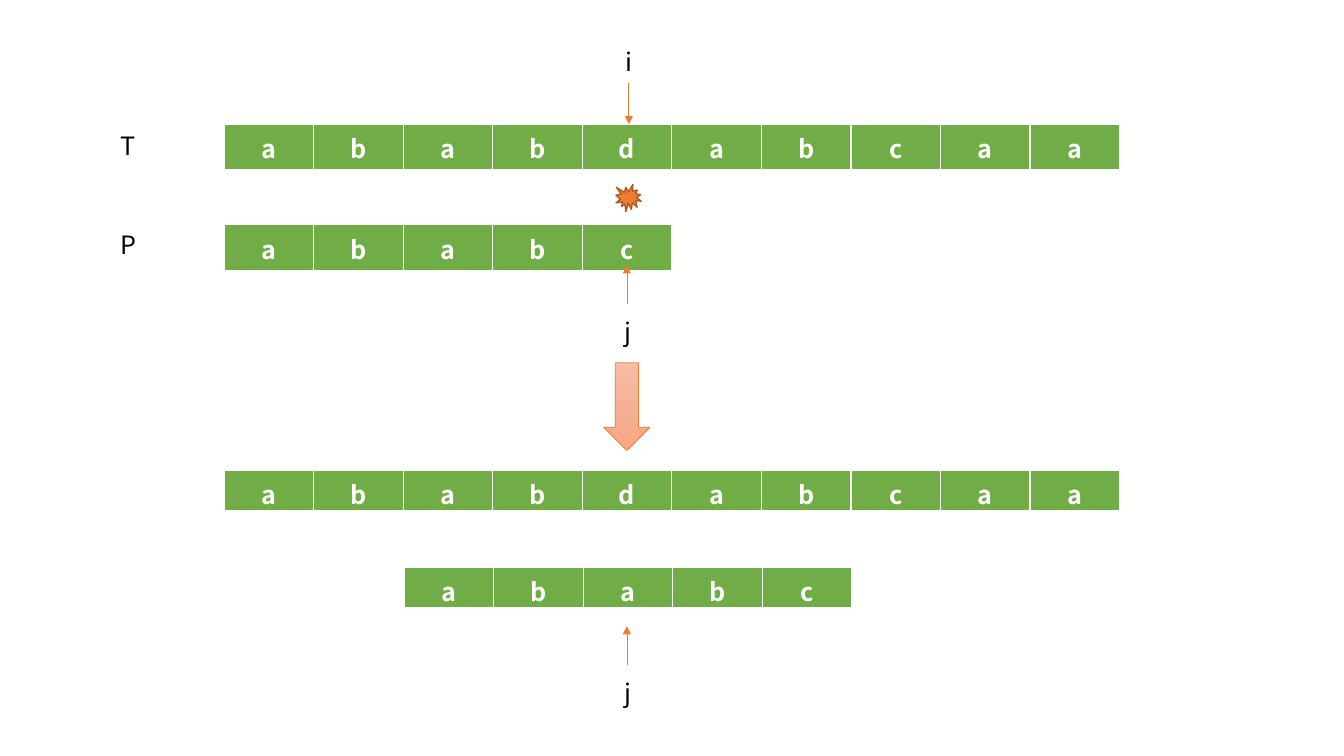
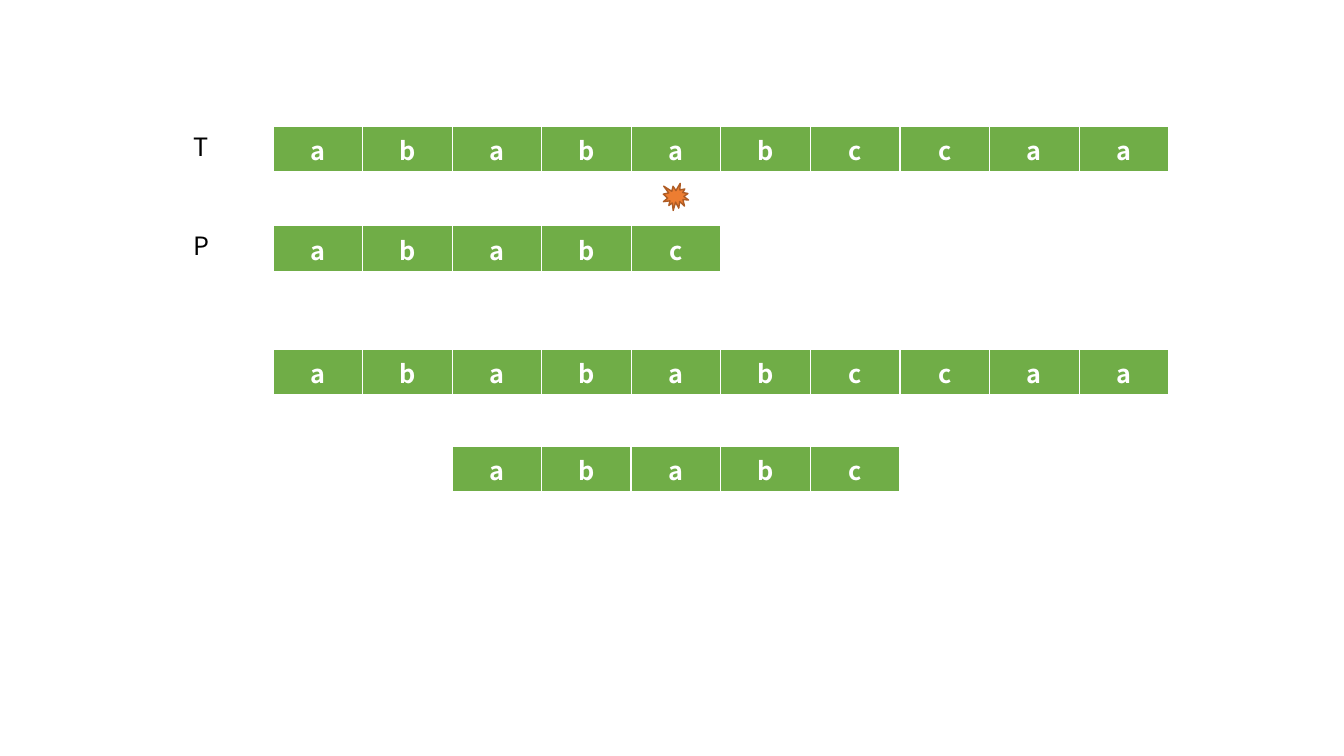
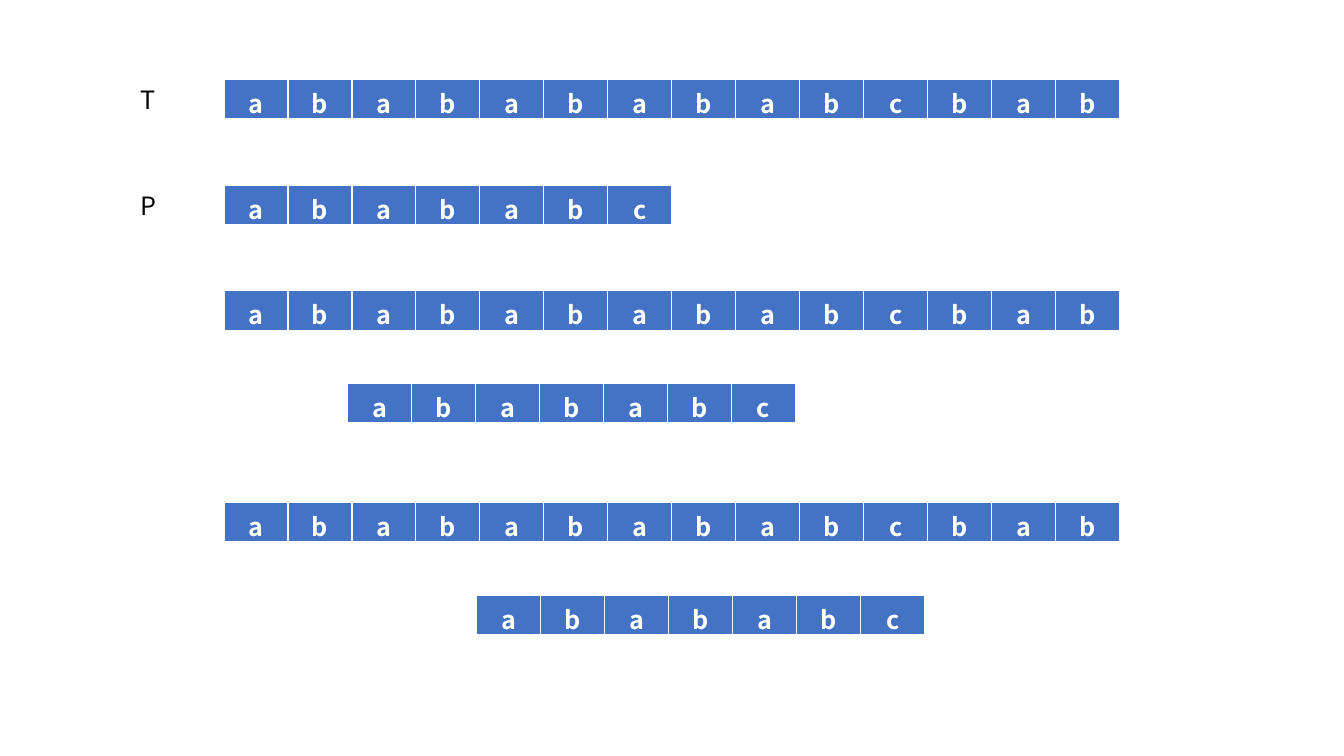
from dataclasses import dataclass

from lxml import etree
from pptx import Presentation
from pptx.dml.color import RGBColor
from pptx.enum.shapes import MSO_CONNECTOR, MSO_SHAPE
from pptx.enum.text import MSO_ANCHOR, MSO_AUTO_SIZE, PP_ALIGN
from pptx.oxml.ns import qn
from pptx.util import Pt

STRAIGHT = MSO_CONNECTOR.STRAIGHT
BURST = MSO_SHAPE.EXPLOSION1
DOWN_ARROW = MSO_SHAPE.DOWN_ARROW
TOP = MSO_ANCHOR.TOP
FIT_SHAPE = MSO_AUTO_SIZE.SHAPE_TO_FIT_TEXT
LEFT, CENTER = PP_ALIGN.LEFT, PP_ALIGN.CENTER


@dataclass(frozen=True)
class Theme:
    """Colours, type and measures shared by all slides."""
    font: str = "Noto Sans CJK SC"
    size: float = 18
    text: str = "000000"
    white: str = "FFFFFF"
    green: str = "70AD47"
    blue: str = "4472C4"
    orange: str = "ED7D31"
    dark_orange: str = "AF5C24"
    arrow_gradient: tuple = ((0, "F7BDA5"), (50, "F5B196"), (100, "F8A582"))
    thin_line: float = 0.5
    burst_line: float = 1
    row_height: float = 29.2
    cell_padding: float = 3.6
    label_height: float = 28.8
    # Edges in the order the cell properties require.
    borders: tuple = (("lnL", 1), ("lnR", 1), ("lnT", 1), ("lnB", 3))


LABEL_WIDTHS = {"T": 23.8, "P": 24.5, "i": 18.7, "j": 18.7}


class Deck:
    """Draws string-matching diagrams on the current slide."""

    def __init__(self, theme):
        """Start a widescreen presentation."""
        self.theme = theme
        self.presentation = Presentation()
        self.presentation.slide_width = Pt(960)
        self.presentation.slide_height = Pt(540)
        self.slide = None

    def new_slide(self):
        """Add a blank slide and make it current."""
        layout = self.presentation.slide_layouts[6]
        self.slide = self.presentation.slides.add_slide(layout)

    def set_text(self, text_frame, text, color, alignment=LEFT, bold=False):
        """Put one styled paragraph into a text frame."""
        paragraph = text_frame.paragraphs[0]
        paragraph.text = text
        paragraph.alignment = alignment
        paragraph.font.name = self.theme.font
        paragraph.font.size = Pt(self.theme.size)
        paragraph.font.bold = bold
        paragraph.font.color.rgb = RGBColor.from_string(color)

    def label(self, text, left, top):
        """Add a letter that names a row or an index."""
        box = self.slide.shapes.add_textbox(
            Pt(left), Pt(top), Pt(LABEL_WIDTHS[text]), Pt(self.theme.label_height))
        box.text_frame.word_wrap = False
        box.text_frame.auto_size = FIT_SHAPE
        self.set_text(box.text_frame, text, self.theme.text)

    def border_cell(self, cell):
        """Give a cell white edges."""
        properties = cell._tc.get_or_add_tcPr()
        for position, (edge, width) in enumerate(self.theme.borders):
            line = etree.Element(qn(f"a:{edge}"), w=str(Pt(width)))
            fill = etree.SubElement(line, qn("a:solidFill"))
            etree.SubElement(fill, qn("a:srgbClr"), val=self.theme.white)
            properties.insert(position, line)

    def letters(self, string, left, top, column_width, color, tight=False):
        """Add a one-row table with a cell for each character."""
        theme = self.theme
        frame = self.slide.shapes.add_table(
            1, len(string), Pt(left), Pt(top),
            Pt(column_width * len(string)), Pt(theme.row_height))
        table = frame.table
        table.first_row = table.horz_banding = False
        for column, cell, character in zip(table.columns, table.rows[0].cells, string):
            column.width = Pt(column_width)
            cell.vertical_anchor = TOP
            cell.margin_top = Pt(theme.cell_padding)
            cell.margin_bottom = Pt(0 if tight else theme.cell_padding)
            cell.fill.solid()
            cell.fill.fore_color.rgb = RGBColor.from_string(color)
            self.border_cell(cell)
            self.set_text(cell.text_frame, character, theme.white, CENTER, True)

    def pointer(self, x, start, end):
        """Add a vertical arrow from start to end."""
        connector = self.slide.shapes.add_connector(
            STRAIGHT, Pt(x), Pt(start), Pt(x), Pt(end))
        connector.line.width = Pt(self.theme.thin_line)
        connector.line.color.rgb = RGBColor.from_string(self.theme.orange)
        etree.SubElement(connector.line._get_or_add_ln(), qn("a:tailEnd"), type="triangle")
        etree.SubElement(connector._element.spPr, qn("a:effectLst"))

    def outlined_shape(self, kind, left, top, width, height, line_color, line_width):
        """Add a preset shape with an outline and no shadow."""
        shape = self.slide.shapes.add_shape(
            kind, Pt(left), Pt(top), Pt(width), Pt(height))
        shape.shadow.inherit = False
        shape.line.color.rgb = RGBColor.from_string(line_color)
        shape.line.width = Pt(line_width)
        return shape

    def mismatch(self, left, top):
        """Add the burst that marks a mismatch."""
        burst = self.outlined_shape(BURST, left, top, 18, 19.4,
                                    self.theme.dark_orange, self.theme.burst_line)
        burst.fill.solid()
        burst.fill.fore_color.rgb = RGBColor.from_string(self.theme.orange)

    def step_arrow(self, left, top, width, height):
        """Add the gradient arrow that leads to the next step."""
        arrow = self.outlined_shape(DOWN_ARROW, left, top, width, height,
                                    self.theme.orange, self.theme.thin_line)
        arrow.fill.gradient()
        arrow.fill.gradient_angle = 270
        stops = arrow._element.spPr.find(qn("a:gradFill")).find(qn("a:gsLst"))
        for stop in list(stops):
            stops.remove(stop)
        for percent, color in self.theme.arrow_gradient:
            stop = etree.SubElement(stops, qn("a:gs"), pos=str(percent * 1000))
            etree.SubElement(stop, qn("a:srgbClr"), val=color)


def shift_after_mismatch(deck):
    """Slide 1: mismatch at i and j, then the pattern moves."""
    deck.new_slide()
    green = deck.theme.green
    text, pattern, column = "ababdabcaa", "ababc", 64
    deck.letters(text, 160, 88.8, column, green)
    deck.letters(pattern, 160, 160.6, column, green)
    deck.label("T", 79.2, 89.2)
    deck.label("P", 79.2, 160.6)
    deck.pointer(449.2, 59, 88.8)
    deck.label("i", 440, 29.6)
    deck.mismatch(440, 131.8)
    deck.letters(text, 160, 336.2, column, green, tight=True)
    deck.letters(pattern, 288.7, 405.5, column, green, tight=True)
    for tip in (189.4, 447.2):
        deck.pointer(447.8, tip + 28, tip)
        deck.label("j", 439.2, tip + 33)
    deck.step_arrow(431.2, 259.2, 33.2, 62.6)


def reuse_prefix(deck):
    """Slide 2: the matched prefix lets the pattern skip ahead."""
    deck.new_slide()
    text, pattern = "abababccaa", "ababc"
    for string, left, top in ((text, 195, 90), (pattern, 195, 161.3),
                              (text, 195, 249.3), (pattern, 322.8, 318.8)):
        deck.letters(string, left, top, 64, deck.theme.green)
    deck.mismatch(473.8, 131)
    deck.label("T", 131, 90)
    deck.label("P", 131, 161.3)


def repeated_shifts(deck):
    """Slide 3: three alignments of a longer pattern."""
    deck.new_slide()
    text, pattern = "abababababcbab", "abababc"
    deck.label("T", 93.6, 56.6)
    deck.label("P", 93.6, 132.4)
    for text_top, pattern_left, pattern_top in (
            (56.6, 160, 132.4), (207.6, 248.4, 273.8), (358.8, 340.6, 425)):
        for string, left, top in ((text, 160, text_top),
                                  (pattern, pattern_left, pattern_top)):
            deck.letters(string, left, top, 640 / len(text), deck.theme.blue, tight=True)


def main():
    """Build and save the presentation."""
    deck = Deck(Theme())
    shift_after_mismatch(deck)
    reuse_prefix(deck)
    repeated_shifts(deck)
    deck.presentation.save("out.pptx")


main()
